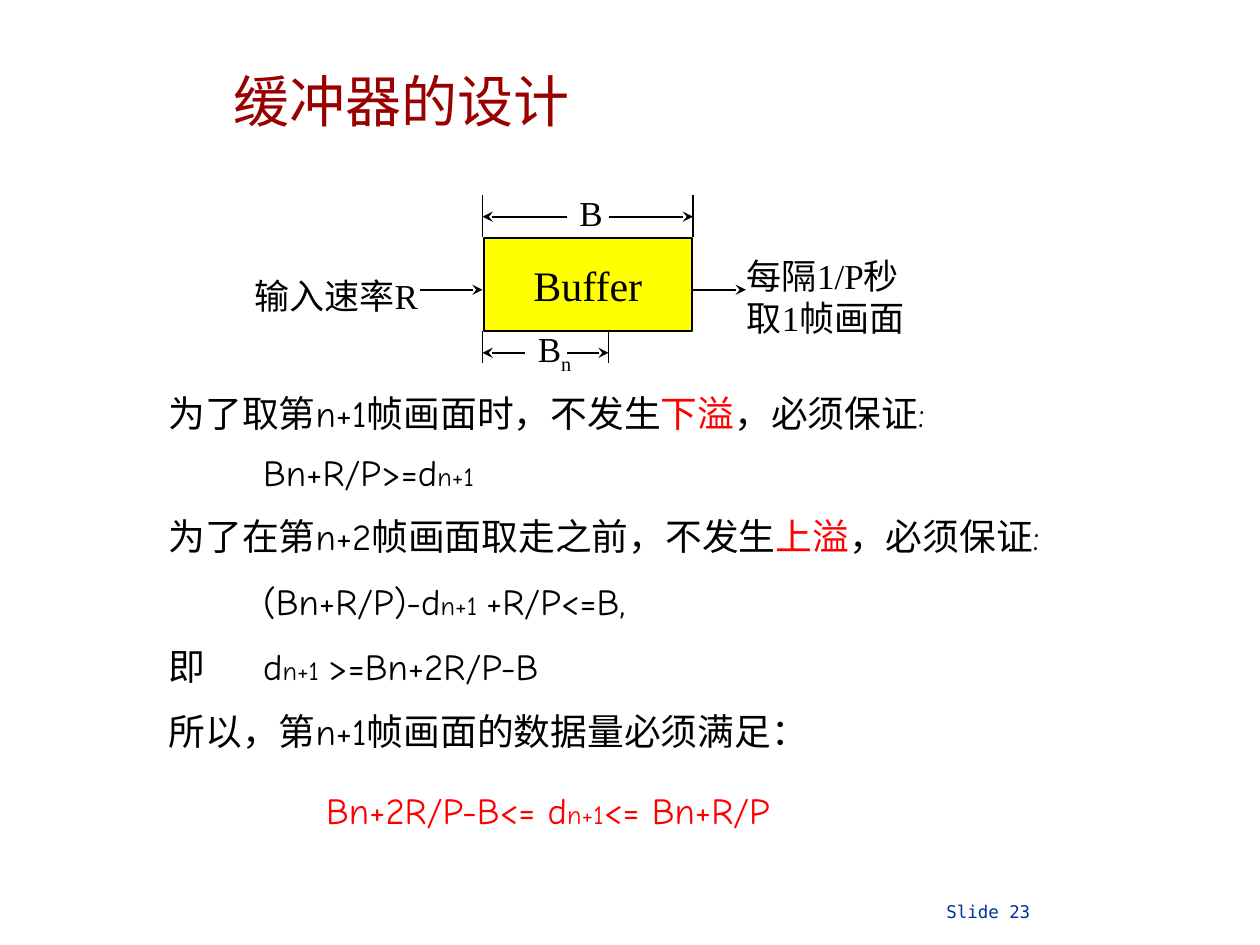
"""Build the buffer design slide with its diagram and overflow conditions."""
from dataclasses import dataclass

from lxml.etree import SubElement
from pptx import Presentation
from pptx.dml.color import RGBColor
from pptx.enum.shapes import MSO_CONNECTOR, MSO_SHAPE
from pptx.enum.text import MSO_ANCHOR, PP_ALIGN
from pptx.oxml.ns import qn
from pptx.util import Inches, Pt


@dataclass(frozen=True)
class Theme:
    black: str = "000000"
    red: str = "FF0000"
    title_red: str = "990000"
    yellow: str = "FFFF00"
    blue: str = "003399"
    cjk: str = "Noto Sans CJK SC"
    body_font: str = "Comic Neue"
    label_font: str = "Times New Roman"
    mono: str = "DejaVu Sans Mono"
    title: int = 32
    box: int = 24
    body: int = 21
    label: int = 20
    small: int = 15
    footer: int = 10
    line: int = 1


THEME = Theme()


def add_run(p, text, font, size, color=THEME.black, baseline=None):
    r = p.add_run()
    r.text = text
    r.font.name = font
    r.font.size = Pt(size)
    r.font.color.rgb = RGBColor.from_string(color)
    SubElement(r.font._element, qn("a:ea")).set("typeface", THEME.cjk)
    if baseline:
        r.font._element.set("baseline", str(baseline * 1000))


def add_tabs(p, stops):
    tabs = SubElement(p._p.get_or_add_pPr(), qn("a:tabLst"))
    for stop in stops:
        tab = SubElement(tabs, qn("a:tab"))
        tab.set("pos", str(Inches(stop)))
        tab.set("algn", "l")


def add_text(s, x, y, w, h, inset_x=0.1, inset_y=0.05):
    tf = s.shapes.add_textbox(Inches(x), Inches(y), Inches(w), Inches(h)).text_frame
    tf.word_wrap = True
    tf.margin_left = tf.margin_right = Inches(inset_x)
    tf.margin_top = tf.margin_bottom = Inches(inset_y)
    return tf


def add_label(s, x, y, w, h, text, subscript=None):
    p = add_text(s, x, y, w, h).paragraphs[0]
    add_run(p, text, THEME.label_font, THEME.label)
    if subscript:
        add_run(p, subscript, THEME.label_font, THEME.label, baseline=-25)


def add_line(s, x1, y1, x2, y2, arrow=False):
    c = s.shapes.add_connector(
        MSO_CONNECTOR.STRAIGHT, Inches(x1), Inches(y1), Inches(x2), Inches(y2))
    c.line.width = Pt(THEME.line)
    c.line.color.rgb = RGBColor.from_string(THEME.black)
    if arrow:
        SubElement(c.line._get_or_add_ln(), qn("a:tailEnd")).set("type", "stealth")
    SubElement(c._element.spPr, qn("a:effectLst"))


def add_buffer(s):
    sp = s.shapes.add_shape(
        MSO_SHAPE.RECTANGLE, Inches(3.84), Inches(1.89), Inches(1.65), Inches(0.74))
    sp.shadow.inherit = False
    sp.fill.solid()
    sp.fill.fore_color.rgb = RGBColor.from_string(THEME.yellow)
    sp.line.color.rgb = RGBColor.from_string(THEME.black)
    sp.line.width = Pt(THEME.line)
    tf = sp.text_frame
    tf.word_wrap = False
    tf.vertical_anchor = MSO_ANCHOR.MIDDLE
    p = tf.paragraphs[0]
    p.alignment = PP_ALIGN.CENTER
    add_run(p, "Buffer", THEME.label_font, THEME.box)


def add_diagram(s):
    left, fill_end, right = 3.83, 4.83, 5.5
    add_buffer(s)
    for x1, x2 in ((3.33, left), (right, 5.92)):
        add_line(s, x1, 2.3, x2, 2.3, arrow=True)
    for x, y1, y2 in ((left, 1.55, 1.88), (right, 1.55, 1.88),
                      (left, 2.63, 2.88), (fill_end, 2.63, 2.88)):
        add_line(s, x, y1, x, y2)
    for x1, x2, y in ((4.5, left, 1.72), (4.83, right, 1.72),
                      (4.17, left, 2.8), (4.5, fill_end, 2.8)):
        add_line(s, x1, y, x2, y, arrow=True)
    add_label(s, 1.92, 2.13, 1.5, 0.77, "输入速率R")
    add_label(s, 5.83, 1.97, 1.5, 1.1, "每隔1/P秒取1帧画面")
    add_label(s, 4.5, 1.47, 0.5, 0.43, "B")
    add_label(s, 4.17, 2.55, 0.5, 0.48, "B", subscript="n")


def add_conditions(s):
    normal, red = (THEME.body, THEME.black), (THEME.body, THEME.red)
    small, small_red = (THEME.small, THEME.black), (THEME.small, THEME.red)
    rows = (
        (0, 0.95, (("为了取第n+1帧画面时，不发生", normal), ("下溢", red),
                   ("，必须保证:", normal))),
        (9.4, 0.95, (("\t\tBn+R/P>=d", normal), ("n+1", small))),
        (13.1, 0.95, (("为了在第n+2帧画面取走之前，不发生", normal), ("上溢", red),
                      ("，必须保证:", normal))),
        (13.1, 0.95, (("\t\t(Bn+R/P)-d", normal), ("n+1 ", small),
                      ("+R/P<=B,", normal))),
        (13.1, 0.95, (("即\td", normal), ("n+1 ", small), (">=Bn+2R/P-B", normal))),
        (13.1, 0.95, (("所以，第n+1帧画面的数据量必须满足：", normal),)),
        (13.1, 1.25, (("\t\t\tBn+2R/P-B<= d", red), ("n+1", small_red),
                      ("<= Bn+R/P", red))),
    )
    tf = add_text(s, 1.24, 3.08, 8.5, 3.67)
    for i, (before, spacing, runs) in enumerate(rows):
        p = tf.add_paragraph() if i else tf.paragraphs[0]
        pPr = p._p.get_or_add_pPr()
        pPr.set("marL", str(Inches(0.25)))
        pPr.set("indent", str(Inches(-0.25)))
        add_tabs(p, range(8))
        p.line_spacing = spacing
        if before:
            p.space_before = Pt(before)
        for text, (size, color) in runs:
            add_run(p, text, THEME.body_font, size, color)


def add_title(s):
    p = add_text(s, 0.04, 0.59, 6.29, 0.48, 0.05, 0).paragraphs[0]
    p.alignment = PP_ALIGN.CENTER
    p.line_spacing = 0.9
    add_run(p, "缓冲器的设计", THEME.cjk, THEME.title, THEME.title_red)


def add_footer(s):
    p = add_text(s, 6.42, 7.15, 3.58, 0.19, 0.09, 0).paragraphs[0]
    add_tabs(p, (1,))
    add_run(p, "\tSlide 23", THEME.mono, THEME.footer, THEME.blue)


def main():
    prs = Presentation()
    prs.slide_width, prs.slide_height = Inches(10), Inches(7.5)
    s = prs.slides.add_slide(prs.slide_layouts[6])
    add_footer(s)
    add_title(s)
    add_conditions(s)
    add_diagram(s)
    prs.save("out.pptx")


if __name__ == "__main__":
    main()
